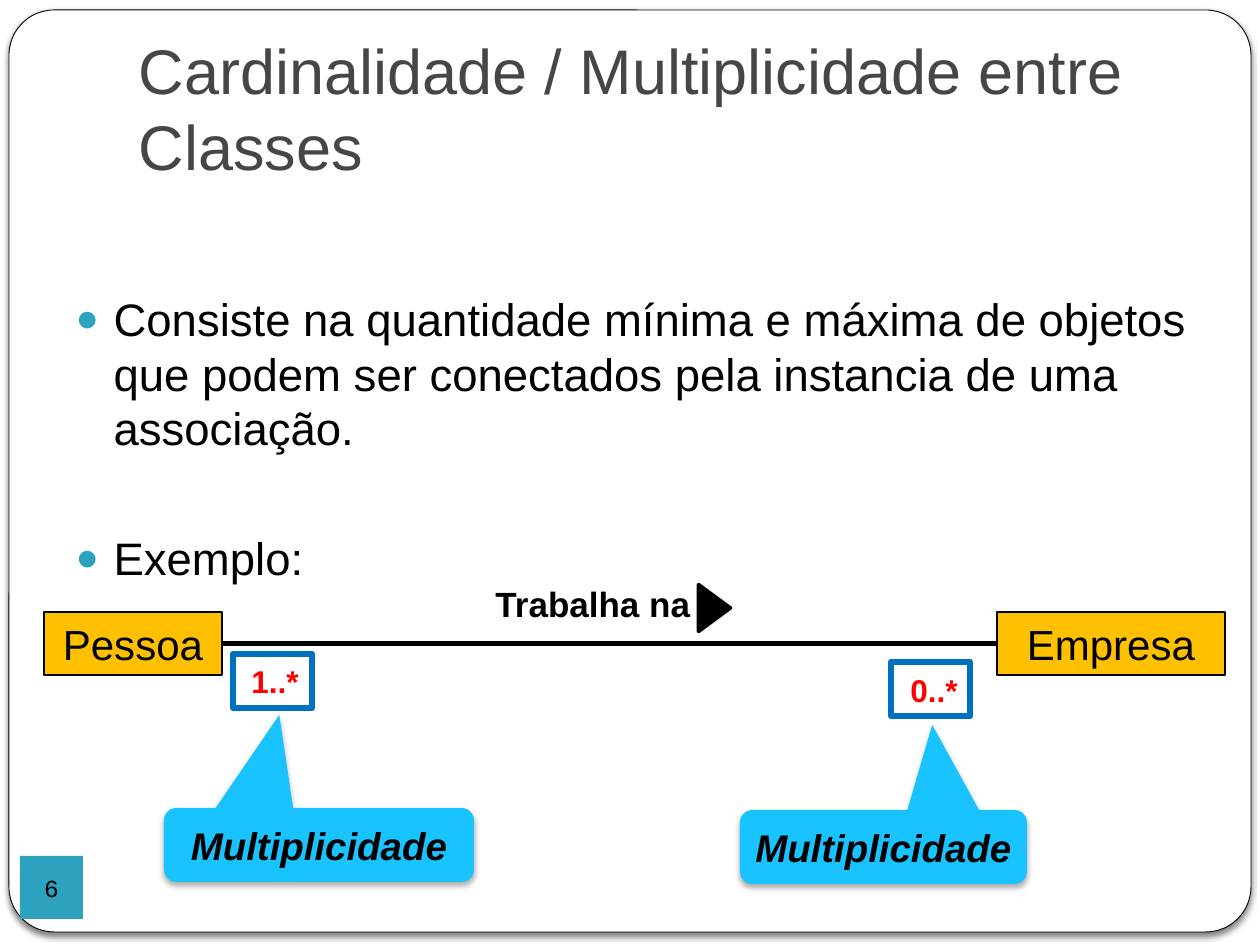
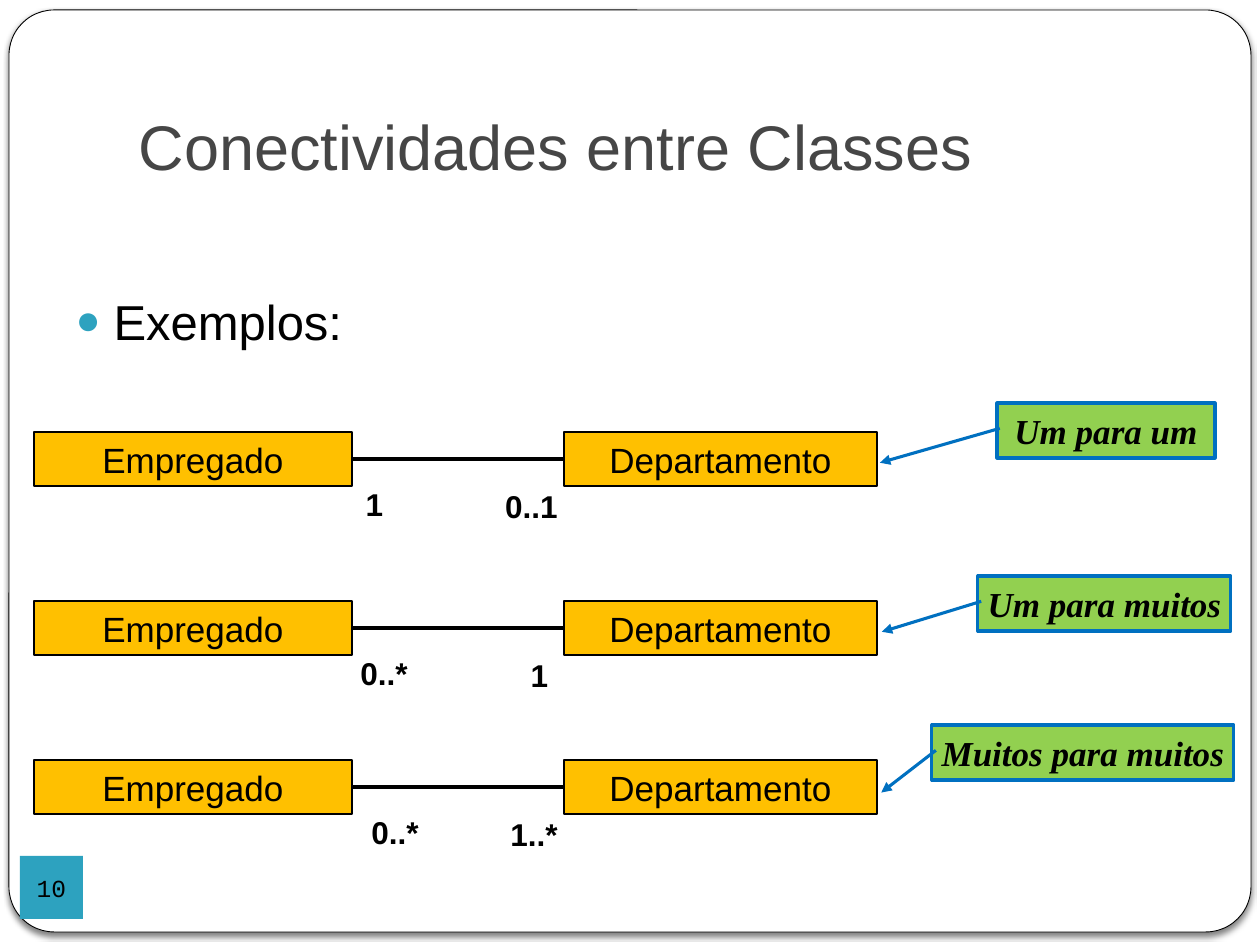
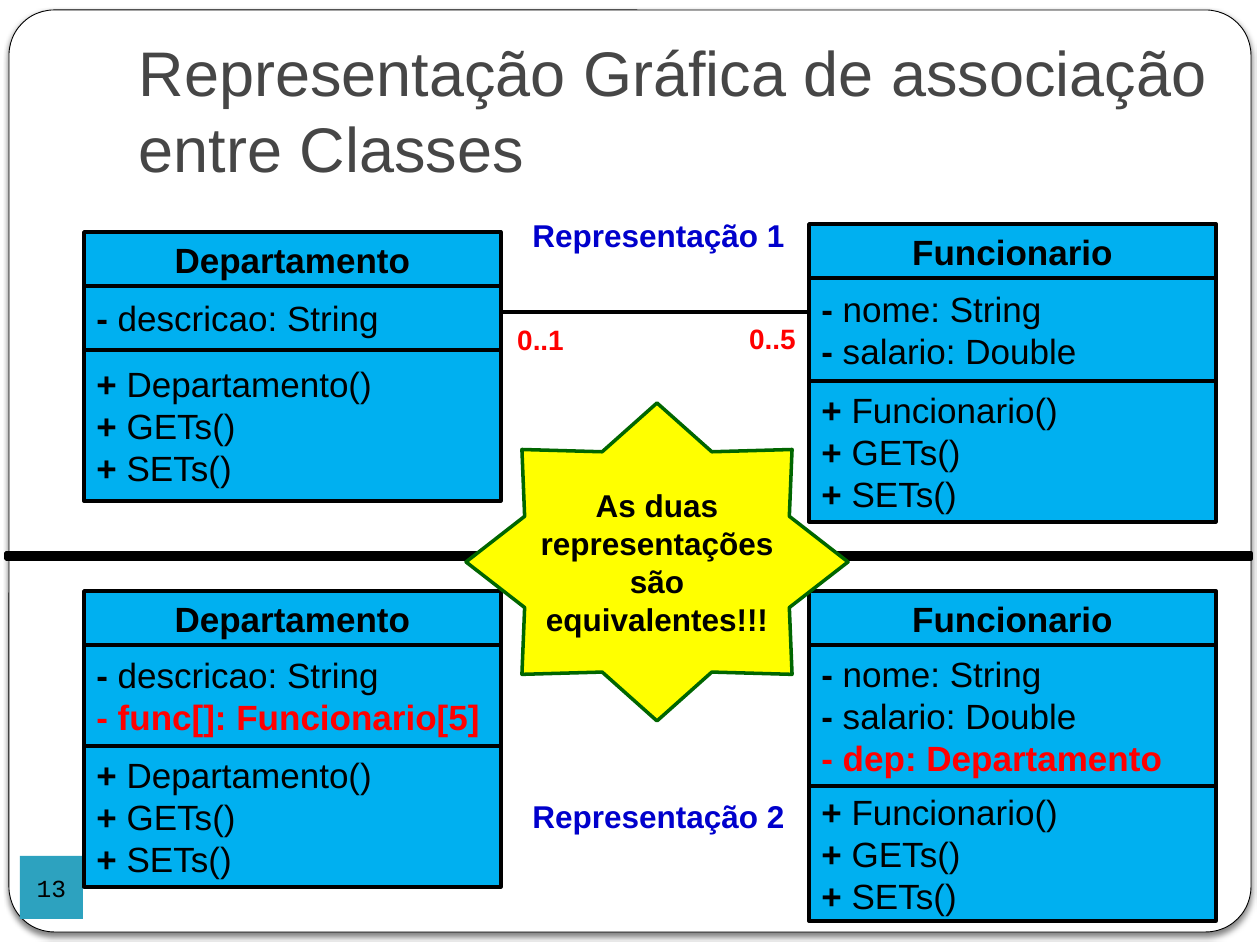
"""Build three slides on associations and multiplicity between UML classes."""
import pptx
import pptx.dml.color
import pptx.enum.shapes
import pptx.enum.text
import pptx.oxml
import pptx.oxml.ns
import pptx.util
from lxml import etree

EMU_PER_PX = 914400 / 126
SHAPE = pptx.enum.shapes.MSO_SHAPE
STRAIGHT = pptx.enum.shapes.MSO_CONNECTOR.STRAIGHT
LEFT = pptx.enum.text.PP_ALIGN.LEFT
CENTER = pptx.enum.text.PP_ALIGN.CENTER
TOP = pptx.enum.text.MSO_ANCHOR.TOP
MIDDLE = pptx.enum.text.MSO_ANCHOR.MIDDLE
BOTTOM = pptx.enum.text.MSO_ANCHOR.BOTTOM
RIGHT_SIDE, LEFT_SIDE = 3, 1
HEADER_HEIGHT = 54
OPERATIONS = ["GETs()", "SETs()"]
COLORS = {
    "paper": "FFFFFF",
    "ink": "000000",
    "title": "464646",
    "accent": "2DA2BF",
    "entity": "FFC000",
    "class": "00B0F0",
    "callout": "19C3FF",
    "note": "92D050",
    "outline": "0070C0",
    "alert": "FF0000",
    "caption": "0000CC",
    "star": "FFFF00",
    "star_edge": "006600",
}


def px(value):
    """Turn pixels into EMU."""
    return pptx.util.Emu(round(value * EMU_PER_PX))


def rgb(name):
    """Return a named colour."""
    return pptx.dml.color.RGBColor.from_string(COLORS[name])


def add_xml(parent, tag, **attributes):
    """Append a DrawingML element to a parent."""
    child = etree.SubElement(parent, pptx.oxml.ns.qn(f"a:{tag}"))
    for key, value in attributes.items():
        child.set(key, str(value))
    return child


def set_font(paragraph, size, color="ink", bold=False, italic=False, face="Arial"):
    """Format a whole paragraph."""
    font = paragraph.font
    font.name, font.size = face, pptx.util.Pt(size)
    font.bold, font.italic = bold, italic
    font.color.rgb = rgb(color)


def write(target, text, size, align=CENTER, anchor=TOP, wrap=True, **style):
    """Put one formatted paragraph in a shape."""
    frame = target.text_frame
    frame.auto_size = pptx.enum.text.MSO_AUTO_SIZE.NONE
    frame.word_wrap, frame.vertical_anchor = wrap, anchor
    paragraph = frame.paragraphs[0]
    paragraph.text, paragraph.alignment = text, align
    set_font(paragraph, size, **style)


def place(target, box):
    """Move a placeholder to a box in pixels."""
    target.left, target.top, target.width, target.height = map(px, box)


def add_shape(shapes, kind, box, fill=None, line=None, weight=1, adjustments=()):
    """Add a flat preset shape."""
    shape = shapes.add_shape(kind, *map(px, box))
    shape.shadow.inherit = False
    if fill:
        shape.fill.solid()
        shape.fill.fore_color.rgb = rgb(fill)
    else:
        shape.fill.background()
    if line:
        shape.line.color.rgb = rgb(line)
        shape.line.width = pptx.util.Pt(weight)
    else:
        shape.line.fill.background()
    for index, value in enumerate(adjustments):
        shape.adjustments[index] = value
    return shape


def add_shadow(shape, alpha, blur, distance):
    """Give a shape a soft shadow straight below it."""
    effects = shape.element.spPr.find(pptx.oxml.ns.qn("a:effectLst"))
    shadow = add_xml(effects, "outerShdw", blurRad=pptx.util.Pt(blur),
                     dist=pptx.util.Pt(distance), dir=5400000, rotWithShape=0)
    color = add_xml(shadow, "srgbClr", val=COLORS["ink"])
    add_xml(color, "alpha", val=alpha * 1000)


def add_label(slide, text, box, size=18, align=CENTER, wrap=False, color="ink"):
    """Add a bold text label."""
    label = slide.shapes.add_textbox(*map(px, box))
    write(label, text, size, align=align, wrap=wrap, color=color, bold=True)


def add_line(slide, start, end):
    """Add a plain association line."""
    line = slide.shapes.add_connector(STRAIGHT, *map(px, (*start, *end)))
    add_xml(line.element.spPr, "effectLst")
    line.line.color.rgb = rgb("ink")
    line.line.width = pptx.util.Pt(2.75)
    return line


def associate(slide, source, target):
    """Join two entities side to side."""
    line = add_line(slide, (0, 0), (0, 0))
    line.begin_connect(source, RIGHT_SIDE)
    line.end_connect(target, LEFT_SIDE)


def add_entity(slide, name, box, size):
    """Add a class shown by its name only."""
    entity = add_shape(slide.shapes, SHAPE.RECTANGLE, box, "entity", "ink", 0.75)
    write(entity, name, size)
    return entity


def add_multiplicity(slide, text, label_box, frame_box, callout_box, pointer):
    """Add a framed multiplicity and the callout that names it."""
    add_label(slide, text, label_box, color="alert")
    add_shape(slide.shapes, SHAPE.RECTANGLE, frame_box, line="outline", weight=3.75)
    callout = add_shape(slide.shapes, SHAPE.ROUNDED_RECTANGULAR_CALLOUT, callout_box,
                        "callout", adjustments=(*pointer, 0.167))
    add_shadow(callout, 32, 3.5, 2.2)
    write(callout, "Multiplicidade", 22, anchor=MIDDLE, wrap=False, bold=True, italic=True)


def add_note(slide, text, box, pointer):
    """Add a connectivity note with an arrow to its row."""
    note = add_shape(slide.shapes, SHAPE.LINE_CALLOUT_1, box, "note", "outline", 1.75,
                     (0.461, 0.013, *pointer))
    outline = note.element.spPr.find(pptx.oxml.ns.qn("a:ln"))
    add_xml(outline, "tailEnd", type="triangle")
    write(note, text, 20, anchor=MIDDLE, wrap=False, bold=True, italic=True,
          face="Times New Roman")


def write_members(compartment, sign, members, reference=None):
    """List class members behind a bold sign, with an optional red reference."""
    frame = compartment.text_frame
    frame.word_wrap, frame.vertical_anchor = True, MIDDLE
    entries = [*members, reference] if reference else members
    for index, member in enumerate(entries):
        paragraph = frame.add_paragraph() if index else frame.paragraphs[0]
        paragraph.alignment = LEFT
        if member == reference:
            paragraph.text = f"{sign} {member}"
            set_font(paragraph, 20, "alert", bold=True)
            continue
        set_font(paragraph, 20)
        for text, bold in ((sign, True), (f" {member}", False)):
            run = paragraph.add_run()
            run.text, run.font.bold = text, bold


def add_class(slide, name, box, attributes, operations_height, reference=None):
    """Add a three-part class; box gives left, top, width and attribute height."""
    left, top, width, attributes_height = box
    parts = []
    group = slide.shapes.add_group_shape()
    for height in (HEADER_HEIGHT, attributes_height, operations_height):
        parts.append(add_shape(group.shapes, SHAPE.RECTANGLE, (left, top, width, height),
                               "class", "ink", 2))
        top += height
    write(parts[0], name, 20, anchor=MIDDLE, bold=True)
    write_members(parts[1], "-", attributes, reference)
    write_members(parts[2], "+", [f"{name}()", *OPERATIONS])


def add_slide(deck, layout, title, number, title_box):
    """Start a slide with its title and page badge."""
    slide = deck.slides.add_slide(deck.slide_layouts[layout])
    heading = slide.shapes.title
    place(heading, title_box)
    write(heading, title, 36, align=LEFT, anchor=BOTTOM, color="title")
    heading.text_frame.margin_bottom = px(13)
    badge = add_shape(slide.shapes, SHAPE.RECTANGLE, (20, 856, 63, 63), "accent")
    write(badge, number, 14, anchor=MIDDLE, face="Courier New")
    frame = badge.text_frame
    frame.margin_left = frame.margin_right = frame.margin_top = frame.margin_bottom = 0
    return slide


def add_bullets(slide, items, size):
    """Fill the body with bulleted paragraphs."""
    body = slide.placeholders[1]
    place(body, (63, 220, 1172, 624))
    frame = body.text_frame
    frame.auto_size = pptx.enum.text.MSO_AUTO_SIZE.NONE
    frame.vertical_anchor, frame.margin_top = TOP, px(71)
    for index, item in enumerate(items):
        paragraph = frame.add_paragraph() if index else frame.paragraphs[0]
        paragraph.text = item
        paragraph.space_before = pptx.util.Pt(43 if index else 0)
        properties = paragraph._p.get_or_add_pPr()
        properties.set("marL", str(px(38)))
        properties.set("indent", str(-px(38)))
        add_xml(add_xml(properties, "buClr"), "srgbClr", val=COLORS["accent"])
        add_xml(properties, "buSzPct", val=85000)
        add_xml(properties, "buFont", typeface="Arial")
        add_xml(properties, "buChar", char="●")
        set_font(paragraph, size)


def share_frame(deck, slide):
    """Put the rounded page frame on the master, behind everything."""
    page = add_shape(slide.shapes, SHAPE.ROUNDED_RECTANGLE, (9, 10, 1242, 922),
                     "paper", "ink", 0.5, (0.049,))
    add_shadow(page, 50, 3, 2)
    deck.slide_master.shapes.element.insert(2, page.element)


def build_cardinality(deck):
    """Build the slide that defines multiplicity."""
    slide = add_slide(deck, 1, "Cardinalidade / Multiplicidade entre Classes", "6",
                      (126, 38, 1071, 158))
    share_frame(deck, slide)
    add_bullets(slide, [
        "Consiste na quantidade mínima e máxima de objetos que podem ser conectados "
        "pela instancia de uma associação.",
        "Exemplo:",
    ], 26)
    person = add_entity(slide, "Pessoa", (44, 612, 178, 63), 24)
    company = add_entity(slide, "Empresa", (997, 612, 228, 63), 24)
    associate(slide, person, company)
    add_label(slide, "Trabalha na", (483, 576, 219, 54), 20, LEFT)
    add_multiplicity(slide, "1..*", (239, 656, 72, 50), (233, 654, 79, 54),
                     (164, 808, 310, 74), (-0.128, -1.757))
    add_multiplicity(slide, "0..*", (898, 665, 72, 50), (891, 662, 79, 54),
                     (740, 810, 287, 74), (0.17, -1.649))
    direction = add_shape(slide.shapes, SHAPE.ISOSCELES_TRIANGLE, (691, 592, 47, 32),
                          "ink", "ink", 2)
    direction.rotation = 90


def build_connectivity(deck):
    """Build the slide with the three kinds of connectivity."""
    slide = add_slide(deck, 1, "Conectividades entre Classes", "10", (126, 38, 1100, 158))
    add_bullets(slide, ["Exemplos:"], 28)
    rows = [
        (432, ("1", 353, 43), ("0..1", 493, 77),
         "Um para um", (997, 403, 218, 55), (1.086, -0.537)),
        (601, ("0..*", 348, 72), ("1", 518, 43),
         "Um para muitos", (978, 576, 253, 55), (1.015, -0.38)),
        (760, ("0..*", 359, 72), ("1..*", 498, 72),
         "Muitos para muitos", (932, 725, 302, 55), (1.229, -0.168)),
    ]
    for top, near, far, note, note_box, pointer in rows:
        employee = add_entity(slide, "Empregado", (34, top, 318, 54), 20)
        department = add_entity(slide, "Departamento", (564, top, 313, 54), 20)
        associate(slide, employee, department)
        for (text, left, width), drop in ((near, 47), (far, 49)):
            add_label(slide, text, (left, top + drop, width, 50))
        add_note(slide, note, note_box, pointer)


def build_representation(deck):
    """Build the slide that compares two equivalent class diagrams."""
    slide = add_slide(deck, 5, "Representação Gráfica de associação entre Classes", "13",
                      (126, 40, 1100, 158))
    department = ["descricao: String"]
    employee = ["nome: String", "salario: Double"]
    add_class(slide, "Departamento", (84, 232, 417, 64), department, 151)
    add_class(slide, "Funcionario", (809, 224, 407, 103), employee, 141)
    add_class(slide, "Departamento", (84, 591, 417, 101), department, 141,
              "func[]: Funcionario[5]")
    add_class(slide, "Funcionario", (809, 591, 407, 141), employee, 135,
              "dep: Departamento")
    add_shape(slide.shapes, SHAPE.RECTANGLE, (6, 553, 1245, 6), "ink", "ink", 2)
    for number, top in ((1, 210), (2, 791)):
        add_label(slide, f"Representação {number}", (520, top, 276, 50), align=LEFT,
                  color="caption")
    add_line(slide, (809, 312), (501, 312))
    add_label(slide, "0..1", (501, 316, 79, 45), 16, wrap=True, color="alert")
    add_label(slide, "0..5", (736, 315, 73, 45), 16, wrap=True, color="alert")
    star = add_shape(slide.shapes, SHAPE.STAR_8_POINT, (466, 403, 382, 318),
                     "star", "star_edge", 2, (0.375,))
    write(star, "As duas representações são equivalentes!!!", 18, anchor=MIDDLE, bold=True)


def main():
    """Build and save the deck."""
    deck = pptx.Presentation()
    deck.slide_width, deck.slide_height = px(1260), px(945)
    build_cardinality(deck)
    build_connectivity(deck)
    build_representation(deck)
    deck.save("out.pptx")


if __name__ == "__main__":
    main()
